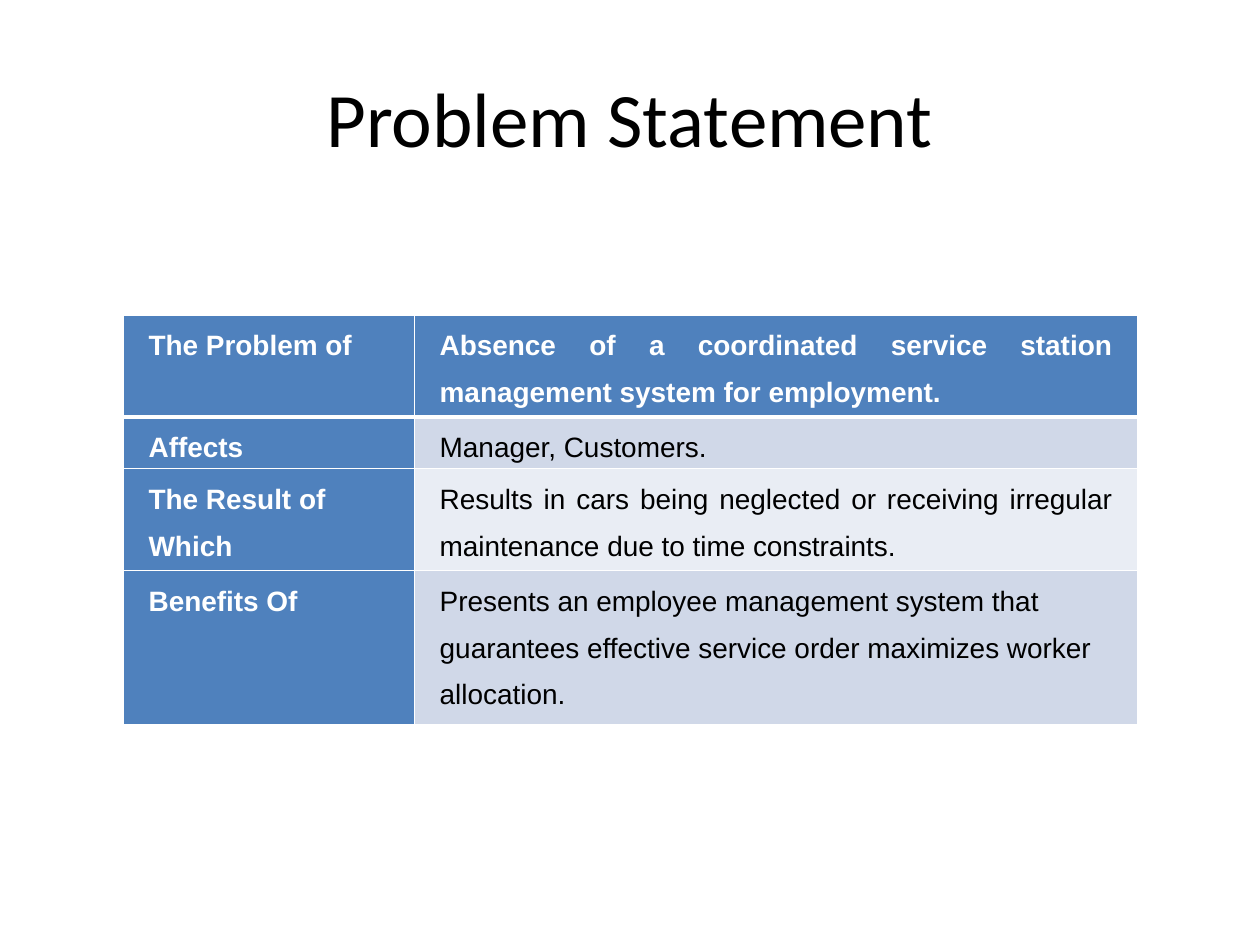
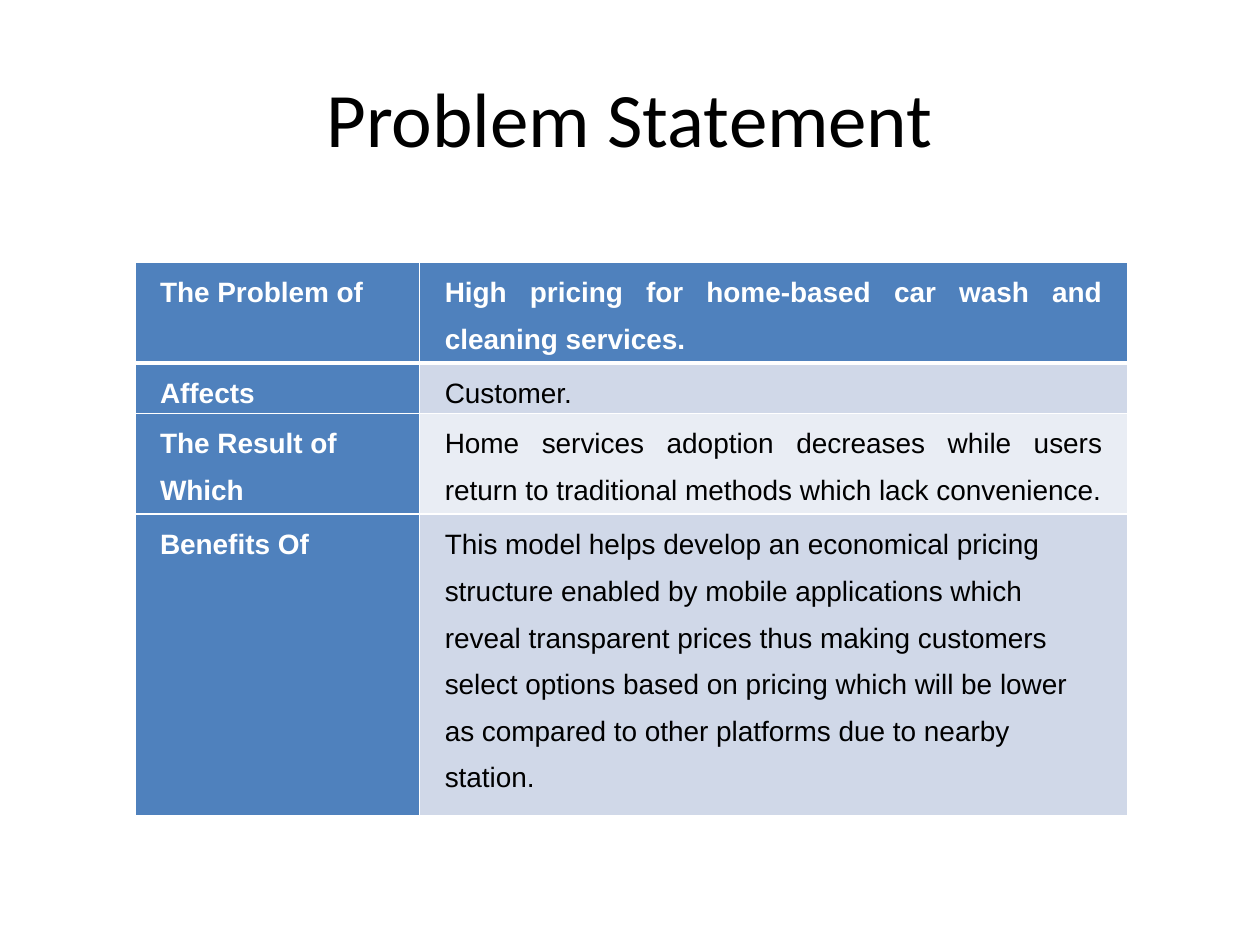
from lxml import etree
from pptx import Presentation
from pptx.dml.color import RGBColor
from pptx.enum.text import MSO_ANCHOR, PP_ALIGN
from pptx.oxml.ns import qn
from pptx.util import Inches, Pt

LEFT, CENTER, JUSTIFY = PP_ALIGN.LEFT, PP_ALIGN.CENTER, PP_ALIGN.JUSTIFY
MIDDLE = MSO_ANCHOR.MIDDLE

BLUE, BAND_DARK, BAND_LIGHT = "4F81BD", "D0D8E8", "E9EDF4"
WHITE, BLACK = "FFFFFF", "000000"
ROW_LABELS = ["The Problem of", "Affects", "The Result of Which", "Benefits Of"]
ROW_ALIGNS = [JUSTIFY, LEFT, JUSTIFY, LEFT]

STATEMENTS = [
    {
        "left": 0.98, "top": 2.5,
        "cols": [2.31, 5.74], "rows": [0.81, 0.41, 0.81, 1.22],
        "answers": [
            "Absence of a coordinated service station management system for employment.",
            "Manager, Customers.",
            "Results in cars being neglected or receiving irregular maintenance "
            "due to time constraints.",
            "Presents an employee management system that guarantees effective "
            "service order maximizes worker allocation.",
        ],
    },
    {
        "left": 1.07, "top": 2.08,
        "cols": [2.26, 5.62], "rows": [0.8, 0.4, 0.8, 2],
        "answers": [
            "High pricing for home-based car wash and cleaning services.",
            "Customer.",
            "Home services adoption decreases while users return to traditional "
            "methods which lack convenience.",
            "This model helps develop an economical pricing structure enabled by "
            "mobile applications which reveal transparent prices thus making "
            "customers select options based on pricing which will be lower as "
            "compared to other platforms due to nearby station.",
        ],
    },
]


def rgb(color):
    """Turn a hex string into a colour."""
    return RGBColor.from_string(color)


def write(tf, text, font="Arial", size=16, color=BLACK, bold=False,
          align=LEFT, spacing=None, margin=0):
    """Write one formatted paragraph into a text frame."""
    p = tf.paragraphs[0]
    p.alignment = align
    if spacing:
        p.line_spacing = spacing
    if margin:
        pPr = p._p.get_or_add_pPr()
        for side in ("marL", "marR"):
            pPr.set(side, str(Inches(margin)))
        pPr.set("indent", "0")
    r = p.add_run()
    r.text = text
    r.font.name, r.font.size, r.font.bold = font, Pt(size), bold
    r.font.color.rgb = rgb(color)


def set_borders(cell, top, bottom):
    """Give a cell white borders, with top and bottom widths in points."""
    tcPr = cell._tc.get_or_add_tcPr()
    for side, width in (("L", 1), ("R", 1), ("T", top), ("B", bottom)):
        ln = etree.SubElement(tcPr, qn(f"a:ln{side}"), w=str(Pt(width)))
        fill = etree.SubElement(ln, qn("a:solidFill"))
        etree.SubElement(fill, qn("a:srgbClr"), val=WHITE)


class Deck:
    """Hold the deck's style and the current slide."""

    def __init__(self):
        """Start an empty deck."""
        self.prs = Presentation()
        self.prs.slide_width, self.prs.slide_height = Inches(10), Inches(7.5)
        self.s = None

    def slide(self, title):
        """Add a blank slide with the shared title."""
        self.s = self.prs.slides.add_slide(self.prs.slide_layouts[6])
        sp = self.s.shapes.add_textbox(Inches(0.5), Inches(0.3), Inches(9), Inches(1.25))
        tf = sp.text_frame
        tf.word_wrap = True
        tf.vertical_anchor = MIDDLE
        write(tf, title, font="Calibri", size=44, align=CENTER)

    def table(self, left, top, cols, rows, answers):
        """Add a table of row labels and answers."""
        table = self.s.shapes.add_table(
            len(rows), len(cols), Inches(left), Inches(top),
            Inches(sum(cols)), Inches(sum(rows))).table
        table.first_col = True
        for column, width in zip(table.columns, cols):
            column.width = Inches(width)
        for row, height in zip(table.rows, rows):
            row.height = Inches(height)
        for i, pair in enumerate(zip(ROW_LABELS, answers)):
            band = BAND_DARK if i % 2 else BAND_LIGHT
            for j, text in enumerate(pair):
                heading = i == 0 or j == 0
                self.cell(table.cell(i, j), text, heading, BLUE if heading else band,
                          ROW_ALIGNS[i] if j else LEFT,
                          top=3 if i == 1 else 1, bottom=3 if i == 0 else 1)

    def cell(self, cell, text, heading, fill, align, top, bottom):
        """Fill, frame and write one table cell."""
        cell.margin_left = cell.margin_right = Inches(0.1)
        cell.margin_top = cell.margin_bottom = 0
        set_borders(cell, top, bottom)
        cell.fill.solid()
        cell.fill.fore_color.rgb = rgb(fill)
        write(cell.text_frame, text, color=WHITE if heading else BLACK,
              bold=heading, align=align, spacing=1.5, margin=0.1)


def main():
    """Build and save the deck."""
    deck = Deck()
    for statement in STATEMENTS:
        deck.slide("Problem Statement")
        deck.table(**statement)
    deck.prs.save("out.pptx")


if __name__ == "__main__":
    main()
